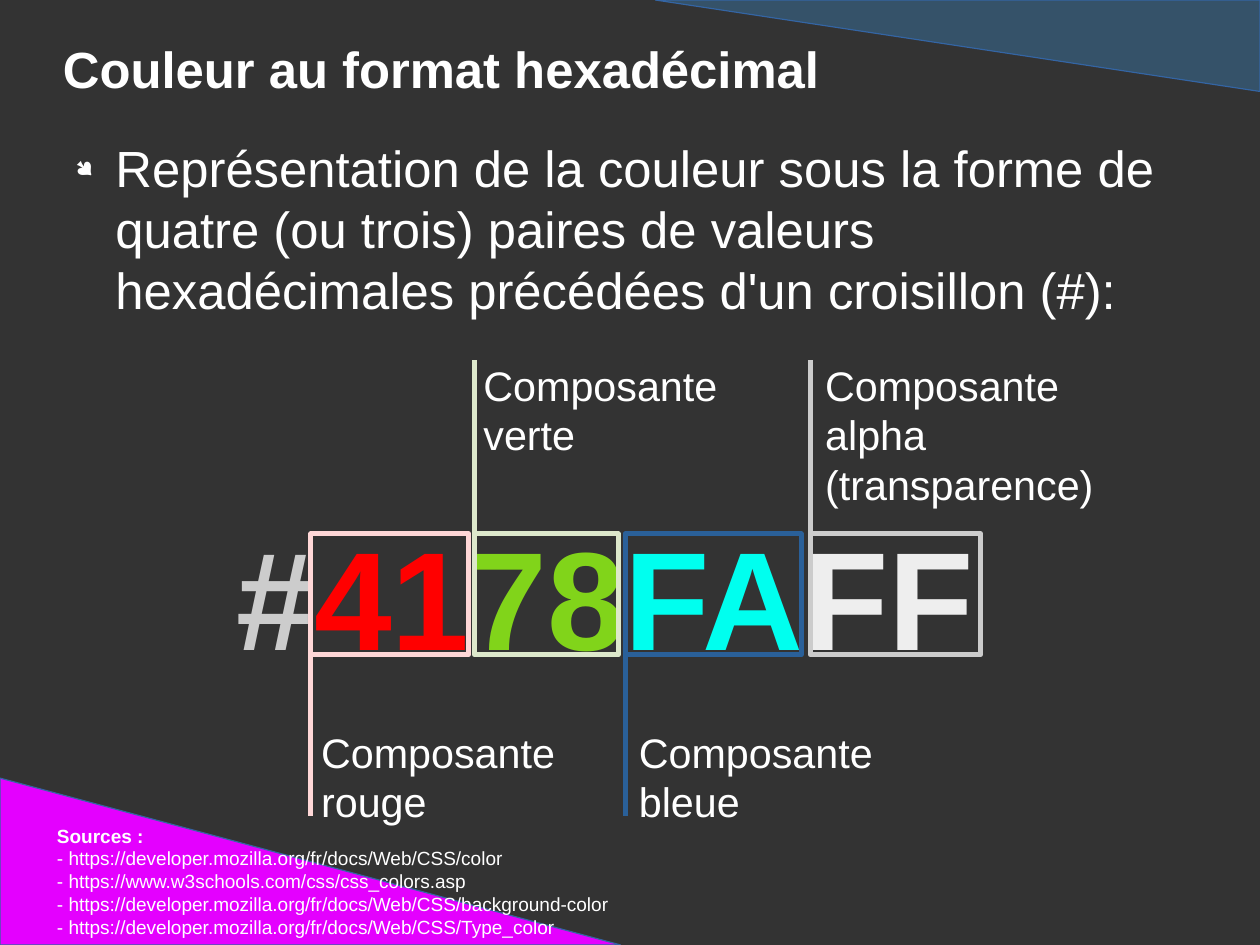
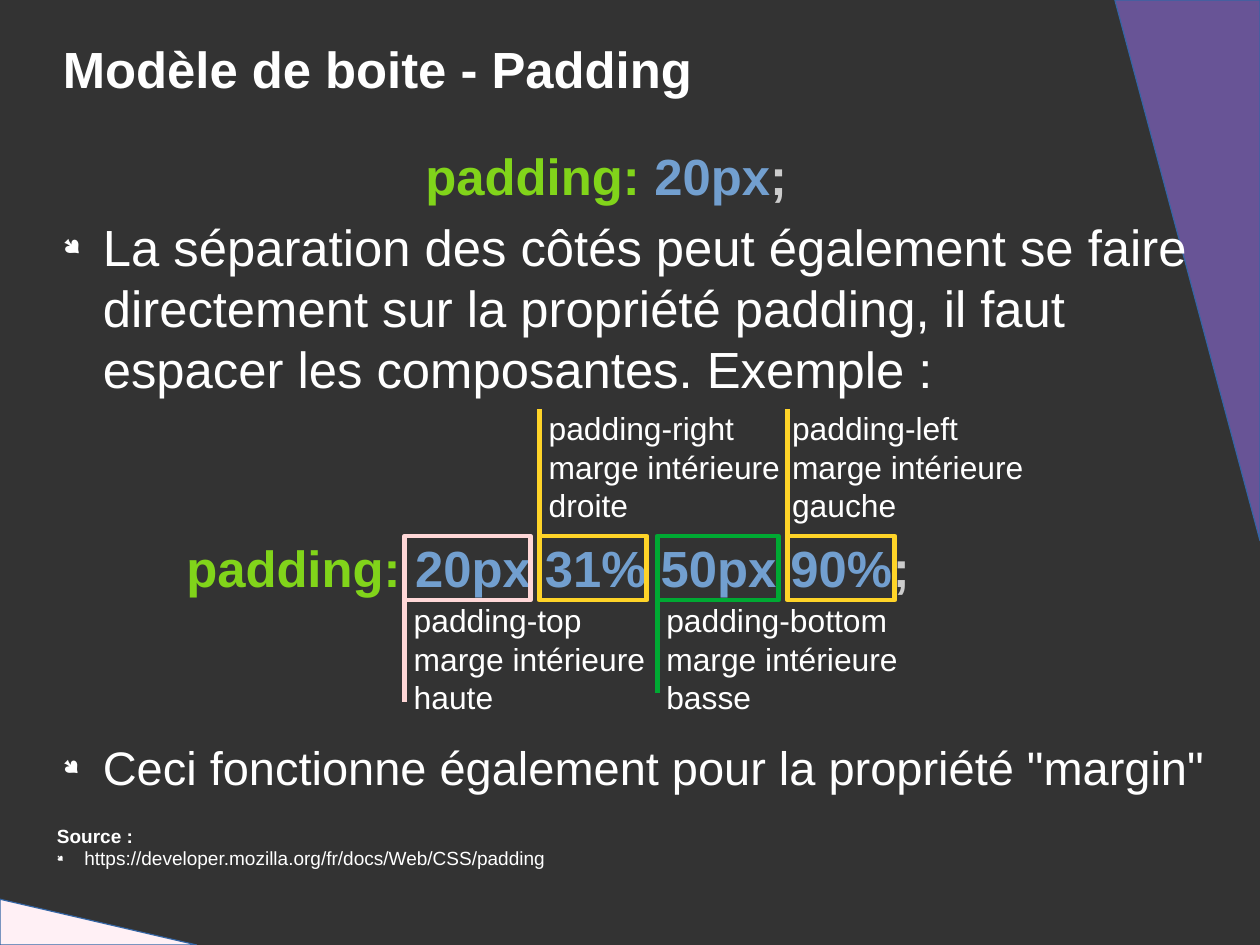
from collections import namedtuple

from lxml import etree
from pptx import Presentation
from pptx.dml.color import RGBColor
from pptx.enum.shapes import MSO_CONNECTOR as Link, MSO_SHAPE as Form
from pptx.enum.text import PP_ALIGN as Align
from pptx.oxml.ns import qn
from pptx.util import Inches, Pt

PAGE = Pt(793.75), Pt(595.25)
WIDE, HIGH = (side.inches for side in PAGE)
FONT = "Arial"
HEX = {
    "back": "333333", "white": "FFFFFF", "edge": "3465A4",
    "slate": "355269", "pink": "E400FF", "plum": "685496", "blush": "FFF0F5",
    "gray": "CCCCCC", "pale": "EEEEEE", "red": "FF0000", "lime": "81D41A",
    "cyan": "00FFEF", "sky": "729FCF", "rose": "FFD7D7", "navy": "2A6099",
    "sage": "DDE8CB", "gold": "FFD428", "green": "00A933",
}

# x and gap are measured from the row's left and the frame's left
Part = namedtuple("Part", "tone x wide text gap up tip span")


def color(name):
    return RGBColor.from_string(HEX[name])


def bullet(para, left, hang):
    props = para._p.get_or_add_pPr()
    props.set("marL", str(Inches(left)))
    props.set("indent", str(-Inches(hang)))
    tint = etree.SubElement(props, qn("a:buClr"))
    etree.SubElement(tint, qn("a:srgbClr"), val=HEX["white"])
    etree.SubElement(props, qn("a:buSzPct"), val="45000")
    etree.SubElement(props, qn("a:buFont"), typeface="Wingdings", charset="2")
    etree.SubElement(props, qn("a:buChar"), char="●")


def add_run(para, text, size, tone="white", bold=False):
    run = para.add_run()
    run.text = text
    font = run.font
    font.name, font.size, font.bold = FONT, Pt(size), bold
    font.color.rgb = color(tone)


def add_box(slide, box, pad=(0, 0)):
    frame = slide.shapes.add_textbox(*map(Inches, box)).text_frame
    frame.word_wrap = True
    frame.margin_left = frame.margin_right = Inches(pad[0])
    frame.margin_top = frame.margin_bottom = Inches(pad[1])
    return frame


def add_code(slide, box, size, runs, align=Align.CENTER):
    para = add_box(slide, box, (0.1, 0.05)).paragraphs[0]
    para.alignment = align
    for text, tone in runs:
        add_run(para, text, size, tone, True)


def add_body(slide, box, text, size=32):
    para = add_box(slide, box).paragraphs[0]
    bullet(para, 0.47, 0.35)
    add_run(para, text, size)


def add_notes(slide, box, head, links, dots=False):
    frame = add_box(slide, box, (0.1, 0.05))
    add_run(frame.paragraphs[0], head, 12, bold=True)
    for link in links:
        para = frame.add_paragraph()
        if dots:
            bullet(para, 0.24, 0.24)
        add_run(para, link, 12)


def corner(slide, wide, high, tone, top):
    """Right triangle in the top right or bottom left corner."""
    spot = (WIDE - wide, 0) if top else (0, HIGH - high)
    shape = slide.shapes.add_shape(
        Form.RIGHT_TRIANGLE, *map(Inches, (*spot, wide, high)))
    shape.rotation = 180 if top else 0
    shape.shadow.inherit = False
    shape.fill.solid()
    shape.fill.fore_color.rgb = color(tone)
    shape.line.color.rgb = color("edge")
    shape.line.width = Pt(0)


def stroke(shape, tone):
    shape.line.color.rgb = color(tone)
    shape.line.width = Pt(3)
    etree.SubElement(shape.line._get_or_add_ln(), qn("a:round"))


def callouts(slide, row, size, drop, parts):
    """Frames in one row, each with a stem and a label above or below."""
    left, top, high = row
    for part in parts:
        x = left + part.x
        frame = slide.shapes.add_shape(
            Form.RECTANGLE, *map(Inches, (x, top, part.wide, high)))
        frame.shadow.inherit = False
        frame.fill.background()
        stroke(frame, part.tone)

        # Stem joined to the middle of the frame's left side
        end = top - part.tip if part.up else top + high + part.tip
        stem = slide.shapes.add_connector(
            Link.STRAIGHT, *map(Inches, (x, end, x, top + high / 2)))
        stem.end_connect(frame, 1)
        stroke(stem, part.tone)
        etree.SubElement(stem._element.spPr, qn("a:effectLst"))

        # Label
        y = end if part.up else top + high + drop
        tall = part.tip - 0.1 if part.up else 0.9
        para = add_box(slide, (x + part.gap, y, part.span, tall)).paragraphs[0]
        first, rest = part.text
        add_run(para, first, size)
        para.add_line_break()
        add_run(para, rest, size)


def add_slide(deck, title, corners):
    """Background, corner triangles and title shared by the slides."""
    slide = deck.slides.add_slide(deck.slide_layouts[6])
    slide.background.fill.solid()
    slide.background.fill.fore_color.rgb = color("back")
    for item in corners:
        corner(slide, *item)
    para = add_box(slide, (0.55, 0.33, 9.92, 0.54)).paragraphs[0]
    add_run(para, title, 32, bold=True)
    return slide


def hex_slide(deck):
    slide = add_slide(deck, "Couleur au format hexadécimal", [
        (5.29, 0.8, "slate", True), (5.43, 1.46, "pink", False)])
    add_body(slide, (0.54, 1.2, 10.16, 1.55),
             "Représentation de la couleur sous la forme de quatre (ou trois) "
             "paires de valeurs hexadécimales précédées d'un croisillon (#):")
    add_code(slide, (1.97, 4.42, 6.77, 1.46), 88, [
        ("#", "gray"), ("41", "red"), ("78", "lime"), ("FA", "cyan"),
        ("FF", "pale")], Align.LEFT)
    name = "Composante"
    callouts(slide, (2.72, 4.67, 1.06), 26, 0.63, [
        Part("rose", 0, 1.38, (name, "rouge"), 0.09, False, 1.41, 2.07),
        Part("navy", 2.75, 1.54, (name, "bleue"), 0.12, False, 1.41, 2.07),
        Part("sage", 1.43, 1.26, (name, "verte"), 0.08, True, 1.52, 2.07),
        Part("gray", 4.37, 1.49, (name, "alpha (transparence)"), 0.13, True,
             1.52, 2.7)])
    docs = "- https://developer.mozilla.org/fr/docs/Web/CSS/"
    add_notes(slide, (0.4, 7.16, 9.9, 1.1), "Sources :", [
        docs + "color", "- https://www.w3schools.com/css/css_colors.asp",
        docs + "background-color", docs + "Type_color"])


def pad_slide(deck):
    slide = add_slide(deck, "Modèle de boite - Padding", [
        (1.27, 4.73, "plum", True), (1.72, 0.4, "blush", False)])
    add_code(slide, (3.39, 1.22, 3.83, 0.6), 32, [
        ("padding: ", "lime"), ("20px", "sky"), (";", "gray")])
    add_body(slide, (0.43, 1.89, 10.26, 1.89),
             "La séparation des côtés peut également se faire directement sur "
             "la propriété padding, il faut espacer les composantes. "
             "Exemple :")
    add_code(slide, (0.3, 4.65, 8.99, 0.6), 32, [
        ("padding: ", "lime"), ("20px 31% 50px 90%", "sky"), (";", "gray")])
    sides = [
        ("rose", 0, 1.1, "top", "haute", 0.08, False, 0.89),
        ("gold", 1.18, 0.94, "right", "droite", 0.08, True, 1.11),
        ("green", 2.21, 1.06, "bottom", "basse", 0.08, False, 0.81),
        ("gold", 3.35, 0.94, "left", "gauche", 0.04, True, 1.11)]
    callouts(slide, (3.54, 4.69, 0.56), 20, 0.01, [
        Part(tone, x, wide, ("padding-" + side, "marge intérieure " + word),
             gap, up, tip, 2.05)
        for tone, x, wide, side, word, gap, up, tip in sides])
    add_body(slide, (0.43, 6.46, 10.26, 0.79),
             'Ceci fonctionne également pour la propriété "margin"', 29.6)
    add_notes(slide, (0.4, 7.16, 9.9, 0.95), "Source :", [
        "https://developer.mozilla.org/fr/docs/Web/CSS/padding"], True)


def main():
    deck = Presentation()
    deck.slide_width, deck.slide_height = PAGE
    hex_slide(deck)
    pad_slide(deck)
    deck.save("out.pptx")


if __name__ == "__main__":
    main()
